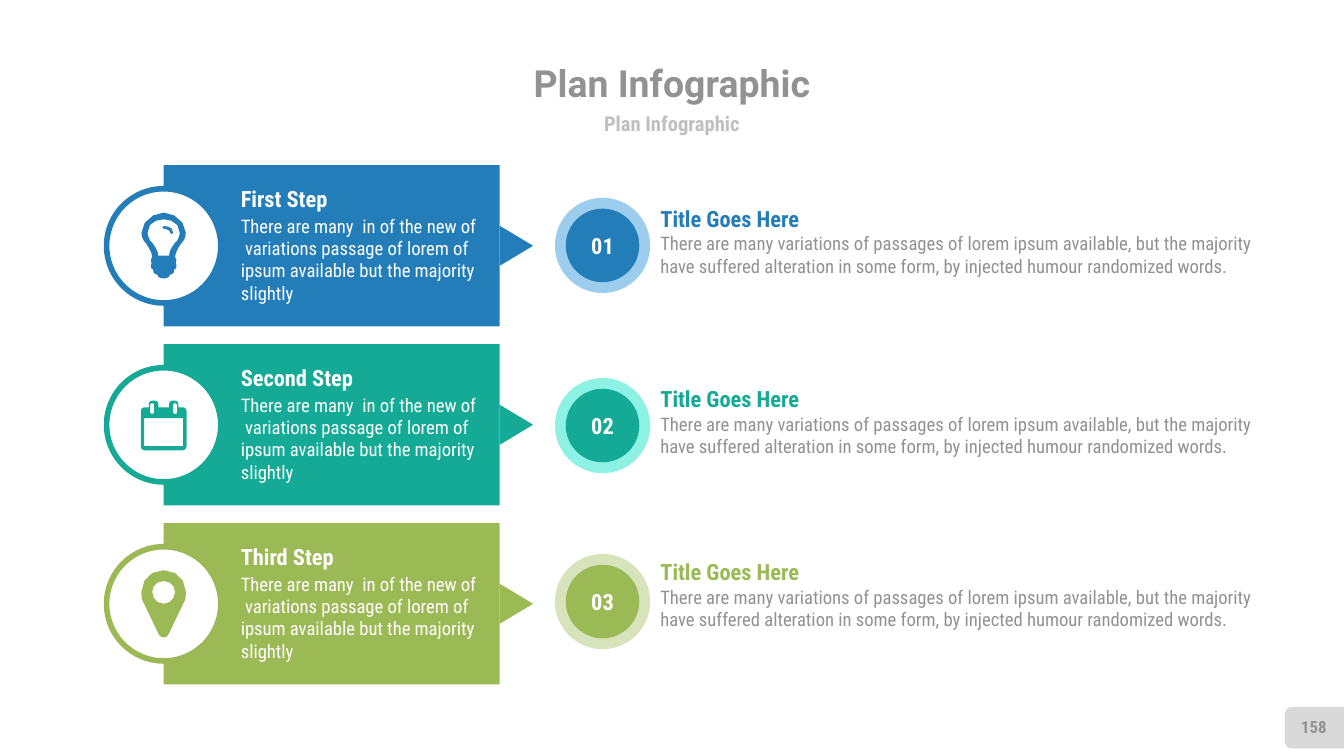
import pptx
import pptx.util
import pptx.dml.color
import pptx.enum.shapes
import pptx.enum.text

Pt = pptx.util.Pt
SHAPES = pptx.enum.shapes.MSO_SHAPE
ALIGN = pptx.enum.text.PP_ALIGN
ANCHOR = pptx.enum.text.MSO_ANCHOR

COLORS = {
    "white": "FFFFFF", "heading": "929292", "subheading": "BFBFBF", "tab": "D9D9D9",
    "blue": "237DB9", "blue_ring": "9DCDED",
    "teal": "15AA96", "teal_ring": "8DF1E4",
    "green": "9BB955", "green_ring": "D7E3BB",
}
CONDENSED = "Roboto Condensed"
STEP_TEXT = ("There are many  in of the new of  variations passage of lorem of "
             "ipsum available but the majority slightly")
DETAIL_TEXT = ("There are many variations of passages of lorem ipsum available, but the majority "
               "have suffered alteration in some form, by injected humour randomized words.")
STEPS = [
    ("First Step", "blue", "bulb", 25.4, 106, 106.5),
    ("Second Step", "teal", "calendar", 30.2, 202.5, 203),
    ("Third Step", "green", "pin", 25.2, 296.8, 295.7),
]
CARD_TOP, CARD_PITCH = 88.5, 95.9
CARD_LEFT, CARD_WIDTH, CARD_HEIGHT = 87.7, 180, 86.4
ICON_UNIT = 0.72
CURVE_STEPS = 3


def rgb(name):
    return pptx.dml.color.RGBColor.from_string(COLORS[name])


def write(frame, lines, align=ALIGN.LEFT, anchor=ANCHOR.TOP, wrap=True, inset=(0, 0)):
    frame.word_wrap = wrap
    frame.vertical_anchor = anchor
    frame.margin_left = frame.margin_right = Pt(inset[0])
    frame.margin_top = frame.margin_bottom = Pt(inset[1])
    for index, (text, size, color, bold, font) in enumerate(lines):
        paragraph = frame.add_paragraph() if index else frame.paragraphs[0]
        paragraph.alignment = align
        run = paragraph.add_run()
        run.text = text
        run.font.size = Pt(size)
        run.font.bold = bold
        run.font.name = font
        run.font.color.rgb = rgb(color)


def add_label(slide, box, lines, **layout):
    label = slide.shapes.add_textbox(*map(Pt, box))
    write(label.text_frame, lines, **layout)


def paint(shape, fill, outline=None):
    shape.shadow.inherit = False
    shape.fill.solid()
    shape.fill.fore_color.rgb = rgb(fill)
    if outline:
        shape.line.color.rgb = rgb(outline)
        shape.line.width = Pt(3)
    else:
        shape.line.fill.background()


def add_figure(slide, kind, box, fill, outline=None, rotation=0):
    figure = slide.shapes.add_shape(kind, *map(Pt, box))
    figure.rotation = rotation
    paint(figure, fill, outline)
    return figure


def trace(start, *moves):
    points = [start]
    for move in moves:
        if len(move) == 2:
            points.append(move)
            continue
        x0, y0 = points[-1]
        x1, y1, x2, y2, x3, y3 = move
        for step in range(1, CURVE_STEPS + 1):
            t = step / CURVE_STEPS
            u = 1 - t
            weights = (u ** 3, 3 * u * u * t, 3 * u * t * t, t ** 3)
            points.append((sum(w * x for w, x in zip(weights, (x0, x1, x2, x3))),
                           sum(w * y for w, y in zip(weights, (y0, y1, y2, y3)))))
    return points


def mirror(points):
    return [(-x, y) for x, y in reversed(points)]


def symmetric(*outline):
    half = trace(*outline)
    return half + mirror(half[1:-1])


def icon_contours():
    ring_hole = trace((7, 3), (7, 9), (7, 10.3, 10, 10.3, 10, 9), (10, 3),
                      (10, 1.7, 7, 1.7, 7, 3))
    return {
        "bulb": [
            symmetric((0, 0), (8, 0, 16.5, 7, 16.5, 15), (16.5, 19, 15, 21, 13, 23),
                      (11, 26, 8.5, 30, 8.5, 33), (9.5, 35), (9, 38), (9.5, 39),
                      (9.5, 41, 9.5, 42, 8, 42), (8, 45, 6.5, 46, 5, 46),
                      (4, 48.5, 2, 49, 0, 49)),
            symmetric((0, 5), (6, 5, 12, 8, 12, 15), (12, 17, 11, 19, 10, 21),
                      (8, 23), (6, 26, 4, 29, 4, 32), (0, 32)),
            trace((6, 16), (5, 15), (5, 13, 1.5, 12, 0, 12),
                  (-1, 11), (0, 10), (3.5, 10, 7, 11, 7, 15)),
        ],
        "calendar": [
            symmetric((0, 5), (4, 5), (4, 3), (4, 1, 5, 0, 7, 0), (8, 0),
                      (10, 0, 11, 1, 11, 3), (11, 5), (14, 5), (15.5, 5, 17, 6, 17, 8),
                      (17, 34), (17, 36, 15.5, 37, 14, 37), (0, 37)),
            [(-14.5, 13), (14.5, 13), (14.5, 34), (-14.5, 34)],
            ring_hole,
            mirror(ring_hole),
        ],
        "pin": [
            symmetric((0, 0), (9.5, 0, 16.5, 7, 16.5, 16), (16.5, 18, 16.5, 21, 16, 22),
                      (4, 47), (3, 49, 2, 50, 0, 50)),
            symmetric((0, 8), (5, 8, 8.5, 12, 8.5, 16), (8.5, 21, 5, 25, 0, 25)),
        ],
    }


def add_icon(slide, contours, center, top, color):
    scaled = [[(x * ICON_UNIT * 100, y * ICON_UNIT * 100) for x, y in contour]
              for contour in contours]
    builder = slide.shapes.build_freeform(*scaled[0][0], scale=Pt(0.01))
    for index, contour in enumerate(scaled):
        if index:
            builder.move_to(*contour[0])
        builder.add_line_segments(contour[1:], close=True)
    paint(builder.convert_to_shape(Pt(center), Pt(top)), color)


def add_card(slide, top, heading, color, contours, icon_offset):
    add_figure(slide, SHAPES.RECTANGLE, (CARD_LEFT, top, CARD_WIDTH, CARD_HEIGHT), color)
    add_figure(slide, SHAPES.ISOSCELES_TRIANGLE, (265.8, top + 34.2, 21.6, 18), color,
               rotation=90)
    add_label(slide, (129, top + 10.8, 80, 14.4), [(heading, 12, "white", True, CONDENSED)],
              anchor=ANCHOR.MIDDLE, wrap=False)
    add_label(slide, (129, top + 26.4, 126, 48.2), [(STEP_TEXT, 10, "white", False, CONDENSED)])
    add_figure(slide, SHAPES.OVAL, (CARD_LEFT - 30.6, top + 12.6, 61.2, 61.2), "white", color)
    add_icon(slide, contours, CARD_LEFT, top + icon_offset, color)


def add_detail(slide, number, color, badge_top, text_top):
    add_label(slide, (346.7, text_top, 331.2, 58.3),
              [("Title Goes Here", 12, color, True, CONDENSED),
               (DETAIL_TEXT, 10, "heading", False, CONDENSED)], inset=(7.2, 3.6))
    add_figure(slide, SHAPES.OVAL, (297.3, badge_top, 51, 51), color + "_ring")
    badge = add_figure(slide, SHAPES.OVAL, (303.1, badge_top + 5.8, 39.4, 39.4), color)
    write(badge.text_frame, [(f"{number:02d}", 12, "white", True, CONDENSED)],
          align=ALIGN.CENTER, anchor=ANCHOR.MIDDLE)


def add_heading(slide):
    title = slide.shapes.title
    title.left, title.top, title.width, title.height = map(Pt, (138, 30.2, 444, 28.1))
    write(title.text_frame, [("Plan Infographic", 20, "heading", True, "Roboto")],
          align=ALIGN.CENTER, anchor=ANCHOR.MIDDLE, wrap=False)
    add_label(slide, (198, 58.1, 324, 15.8),
              [("Plan Infographic", 11, "subheading", True, CONDENSED)],
              align=ALIGN.CENTER, anchor=ANCHOR.MIDDLE)


def add_page_number(slide):
    add_figure(slide, SHAPES.ROUND_2_SAME_RECTANGLE, (693, 374, 22.3, 31.7), "tab",
               rotation=270)
    add_label(slide, (688.7, 378.7, 30.2, 21.6), [("158", 9, "heading", True, CONDENSED)],
              align=ALIGN.CENTER, anchor=ANCHOR.MIDDLE)


def main():
    deck = pptx.Presentation()
    deck.slide_width, deck.slide_height = Pt(720), Pt(405)
    slide = deck.slides.add_slide(deck.slide_layouts[5])
    add_page_number(slide)
    add_heading(slide)
    icons = icon_contours()
    for index, (heading, color, icon, icon_offset, badge_top, text_top) in enumerate(STEPS):
        add_card(slide, CARD_TOP + index * CARD_PITCH, heading, color, icons[icon], icon_offset)
        add_detail(slide, index + 1, color, badge_top, text_top)
    deck.save("out.pptx")


if __name__ == "__main__":
    main()
